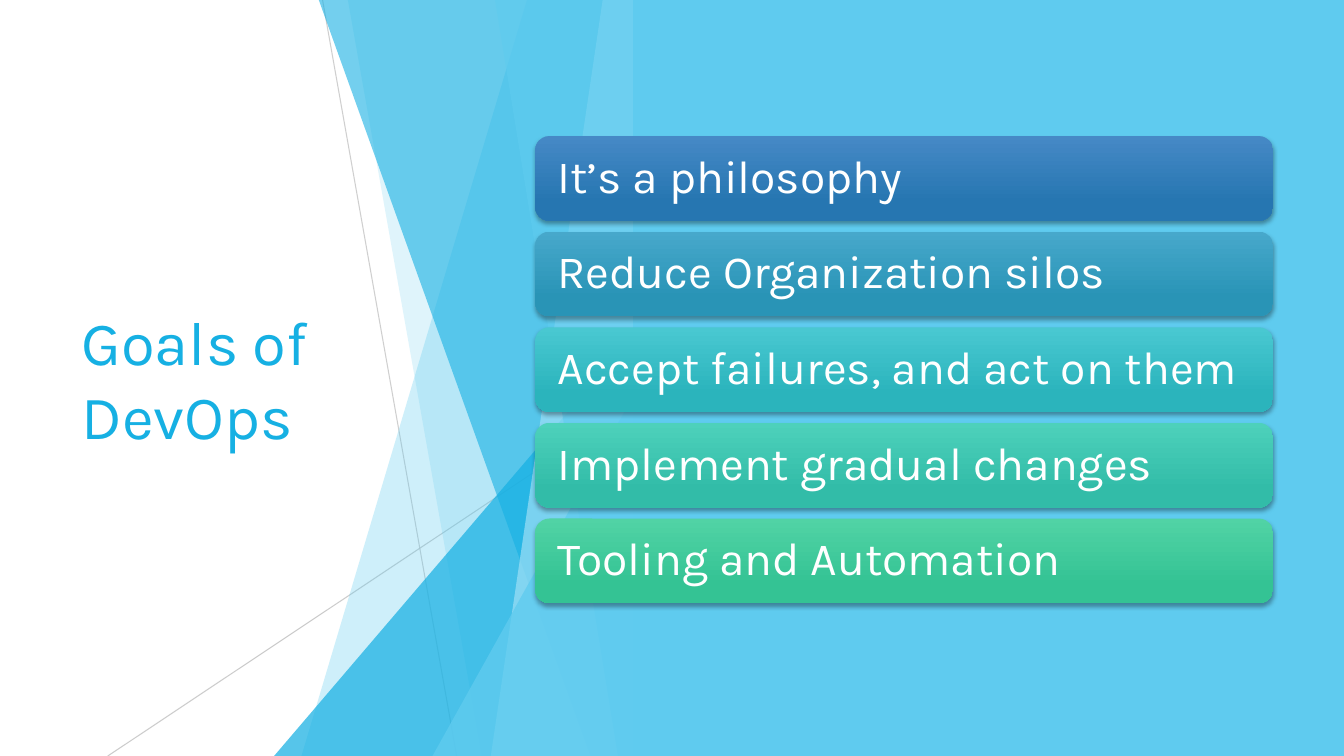
"""Build the "Goals of DevOps" slide with a faceted backdrop and five goal bars."""
from dataclasses import dataclass

from lxml.etree import SubElement
from pptx import Presentation
from pptx.dml.color import RGBColor
from pptx.enum.shapes import MSO_CONNECTOR, MSO_SHAPE
from pptx.enum.text import MSO_ANCHOR, MSO_AUTO_SIZE, PP_ALIGN
from pptx.oxml.ns import qn
from pptx.shapes.autoshape import Shape
from pptx.slide import Slide
from pptx.text.text import TextFrame
from pptx.util import Pt

ROUNDED = MSO_SHAPE.ROUNDED_RECTANGLE
RECTANGLE = MSO_SHAPE.RECTANGLE
TRIANGLE = MSO_SHAPE.ISOSCELES_TRIANGLE
STRAIGHT = MSO_CONNECTOR.STRAIGHT
MIDDLE = MSO_ANCHOR.MIDDLE
NO_FIT = MSO_AUTO_SIZE.NONE
LEFT = PP_ALIGN.LEFT

COLORS = {
    "white": "FFFFFF",
    "black": "000000",
    "gray": "BFBFBF",
    "sky": "5FCBEF",
    "pale": "9EDFF5",
    "blue": "16B0E3",
}
FONT = "Karla"
SLIDE_WIDTH, SLIDE_HEIGHT = 960, 540
PANEL_LEFT = 452.2
FACET_TOP = -0.6
BAR_LEFT, BAR_TOP, BAR_WIDTH, BAR_HEIGHT = 382.3, 97.2, 527, 60.5
BAR_PITCH = 68.3


@dataclass
class Ray:
    """A thin line across the backdrop."""
    start: tuple[float, float]
    end: tuple[float, float]
    opacity: int


@dataclass
class Wedge:
    """A full-height facet with a slanted left edge."""
    top_left: float
    bottom_left: float
    color: str
    opacity: int


@dataclass
class Corner:
    """A right triangle resting on the slide bottom."""
    left: float
    top: float
    color: str
    opacity: int


@dataclass
class Goal:
    """A goal bar with its gradient ends."""
    text: str
    light: str
    dark: str


RAYS = [
    Ray((230.4, 0), (326.2, SLIDE_HEIGHT), 75),
    Ray((PANEL_LEFT, 290.2), (77, SLIDE_HEIGHT), 80),
]
FACETS = [
    Wedge(376.6, 215.3, "sky", 30),
    Wedge(248.4, 344.2, "sky", 20),
    Corner(195.8, 239.8, "blue", 72),
    Wedge(227.5, 421.9, "blue", 60),
    Wedge(430.6, 350.6, "pale", 70),
    Wedge(353.5, 441.4, "sky", 65),
    Corner(308.9, 283, "sky", 80),
]
GOALS = [
    Goal("It’s a philosophy", "4689C6", "2676B1"),
    Goal("Reduce Organization silos", "47A8CB", "2994B6"),
    Goal("Accept failures, and act on them", "49C8D1", "2BB4BC"),
    Goal("Implement gradual changes", "4DD1BB", "32BCA8"),
    Goal("Tooling and Automation", "51D3A5", "34C394"),
]


def rgb(name: str) -> RGBColor:
    """Return the named colour."""
    return RGBColor.from_string(COLORS[name])


def set_opacity(shape, percent: int) -> None:
    """Make every plain colour of a shape partly transparent."""
    for color in shape.element.iter(qn("a:srgbClr")):
        SubElement(color, qn("a:alpha"), val=str(percent * 1000))


def paint(shape: Shape, color: str) -> None:
    """Give a shape a flat fill with no outline or shadow."""
    shape.fill.solid()
    shape.fill.fore_color.rgb = rgb(color)
    shape.line.fill.background()
    shape.shadow.inherit = False


def write(frame: TextFrame, text: str, size: float, color: str) -> None:
    """Write one left-aligned, vertically centred paragraph."""
    frame.word_wrap = True
    frame.auto_size = NO_FIT
    frame.vertical_anchor = MIDDLE
    paragraph = frame.paragraphs[0]
    paragraph.alignment = LEFT
    run = paragraph.add_run()
    run.text = text
    run.font.name = FONT
    run.font.size = Pt(size)
    run.font.color.rgb = rgb(color)


def draw_ray(slide: Slide, ray: Ray) -> None:
    """Draw a thin gray line."""
    points = [Pt(value) for value in (*ray.start, *ray.end)]
    connector = slide.shapes.add_connector(STRAIGHT, *points)
    connector.line.width = Pt(0.75)
    connector.line.color.rgb = rgb("gray")
    set_opacity(connector, ray.opacity)
    SubElement(connector.element.spPr, qn("a:effectLst"))


def draw_facet(slide: Slide, facet: Wedge | Corner) -> None:
    """Draw a translucent facet that ends at the panel."""
    if isinstance(facet, Wedge):
        builder = slide.shapes.build_freeform(Pt(facet.top_left), Pt(FACET_TOP))
        builder.add_line_segments([
            (Pt(PANEL_LEFT), Pt(FACET_TOP)),
            (Pt(PANEL_LEFT), Pt(SLIDE_HEIGHT)),
            (Pt(facet.bottom_left), Pt(SLIDE_HEIGHT)),
        ])
        shape = builder.convert_to_shape()
    else:
        shape = slide.shapes.add_shape(
            TRIANGLE, Pt(facet.left), Pt(facet.top),
            Pt(PANEL_LEFT - facet.left), Pt(SLIDE_HEIGHT - facet.top))
        shape.adjustments[0] = 1
    paint(shape, facet.color)
    set_opacity(shape, facet.opacity)


def draw_title(slide: Slide) -> None:
    """Place the title in front of everything drawn so far."""
    title = slide.shapes.title
    title.left, title.top = Pt(51.1), Pt(108.7)
    title.width, title.height = Pt(279.4), Pt(322.6)
    write(title.text_frame, "Goals of DevOps", 44, "blue")
    slide.shapes[-1].element.addnext(title.element)


def draw_goal(slide: Slide, goal: Goal, top: float) -> None:
    """Draw a rounded gradient bar with a soft shadow."""
    bar = slide.shapes.add_shape(
        ROUNDED, Pt(BAR_LEFT), Pt(top), Pt(BAR_WIDTH), Pt(BAR_HEIGHT))
    bar.fill.gradient()
    bar.fill.gradient_angle = 270
    for stop, position, color in zip(
            bar.fill.gradient_stops, (0, 0.78), (goal.light, goal.dark)):
        stop.position = position
        stop.color.rgb = RGBColor.from_string(color)
    bar.line.fill.background()
    bar.shadow.inherit = False
    effects = bar.element.spPr.find(qn("a:effectLst"))
    shadow = SubElement(effects, qn("a:outerShdw"), blurRad=str(Pt(3)),
                        dist=str(Pt(2)), dir="5400000", rotWithShape="0")
    color = SubElement(shadow, qn("a:srgbClr"), val=COLORS["black"])
    SubElement(color, qn("a:alpha"), val="35000")
    frame = bar.text_frame
    frame.margin_left = frame.margin_right = Pt(13)
    frame.margin_top = frame.margin_bottom = 0
    write(frame, goal.text, 33, "white")
    frame.paragraphs[0].line_spacing = 0.9


def main() -> None:
    """Assemble and save the slide."""
    presentation = Presentation()
    presentation.slide_width = Pt(SLIDE_WIDTH)
    presentation.slide_height = Pt(SLIDE_HEIGHT)
    slide = presentation.slides.add_slide(presentation.slide_layouts[5])
    for ray in RAYS:
        draw_ray(slide, ray)
    for facet in FACETS:
        draw_facet(slide, facet)
    draw_title(slide)
    panel = slide.shapes.add_shape(
        RECTANGLE, Pt(PANEL_LEFT), 0, Pt(SLIDE_WIDTH - PANEL_LEFT), Pt(SLIDE_HEIGHT))
    paint(panel, "sky")
    for index, goal in enumerate(GOALS):
        draw_goal(slide, goal, BAR_TOP + index * BAR_PITCH)
    presentation.save("out.pptx")


if __name__ == "__main__":
    main()
